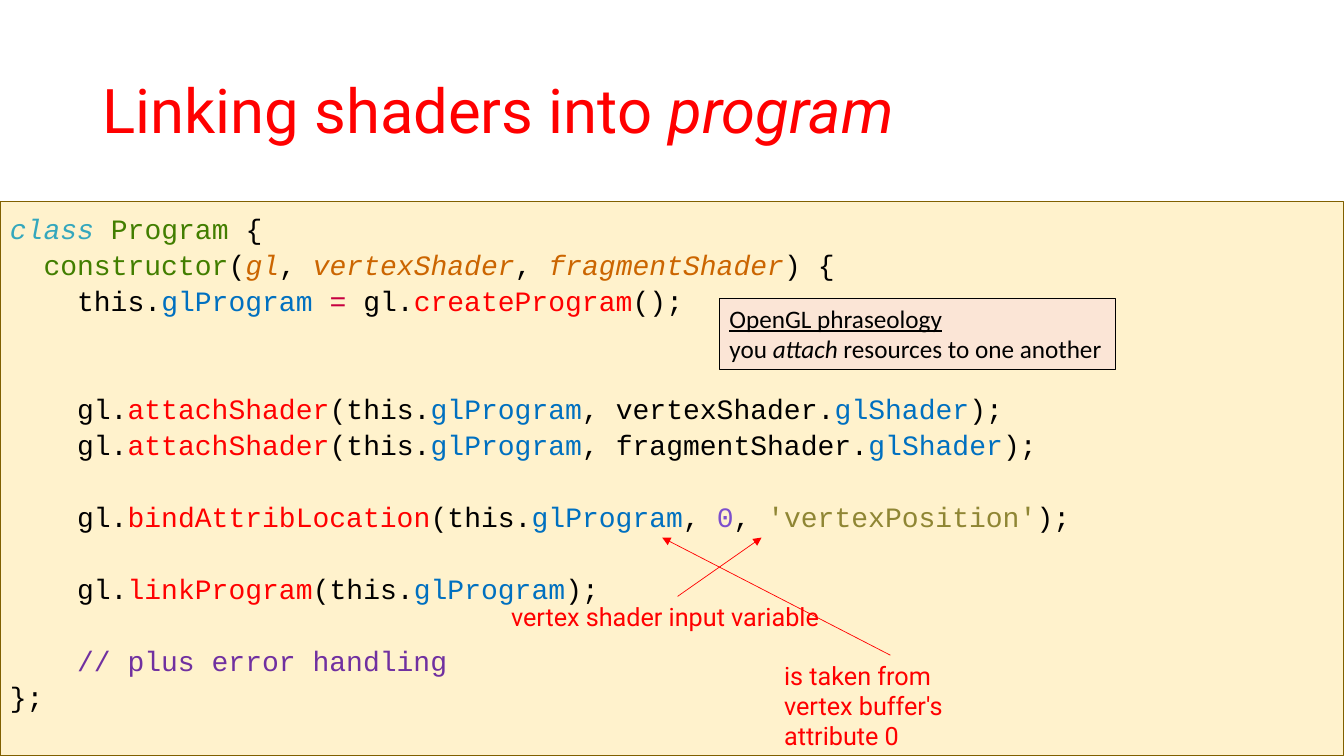
from collections import namedtuple

from lxml import etree
from pptx import Presentation
from pptx import util as u
from pptx.dml.color import RGBColor
from pptx.enum import shapes, text
from pptx.oxml.ns import qn

Pt = u.Pt
Box = namedtuple("Box", "x y w h")
Run = namedtuple("Run", "text color italic underline", defaults=(False, False))
Line = namedtuple("Line", "level blanks_before runs")

BLACK = RGBColor(0x00, 0x00, 0x00)
RED = RGBColor(0xFF, 0x00, 0x00)
CREAM = RGBColor(0xFF, 0xF2, 0xCC)
OLIVE = RGBColor(0x80, 0x60, 0x00)
PEACH = RGBColor(0xFB, 0xE5, 0xD6)
KEYWORD = RGBColor(0x34, 0xA7, 0xBD)
NAME = RGBColor(0x42, 0x7E, 0x00)
PARAM = RGBColor(0xCB, 0x65, 0x00)
MEMBER = RGBColor(0x00, 0x70, 0xC0)
OPERATOR = RGBColor(0xC7, 0x00, 0x40)
NUMBER = RGBColor(0x7C, 0x4F, 0xCD)
STRING = RGBColor(0x8F, 0x86, 0x34)
COMMENT = RGBColor(0x70, 0x30, 0xA0)

CODE_SIZE = 20
CODE_PITCH = 25.7
CODE_INDENT = 24  # two Courier New characters


def gl_call(method, *rest, blanks=0):
    """Return the code line gl.method(this.glProgram, ...)."""
    return Line(2, blanks, [Run("gl.", BLACK), Run(method, RED), Run("(this.", BLACK),
                            Run("glProgram", MEMBER), *rest, Run(");", BLACK)])


def attach_call(shader, blanks=0):
    """Return the code line that attaches one shader."""
    return gl_call("attachShader", Run(f", {shader}.", BLACK),
                   Run("glShader", MEMBER), blanks=blanks)


CODE = [
    Line(0, 0, [Run("class ", KEYWORD, True), Run("Program ", NAME), Run("{", BLACK)]),
    Line(1, 0, [Run("constructor", NAME), Run("(", BLACK), Run("gl", PARAM, True),
                Run(", ", BLACK), Run("vertexShader", PARAM, True), Run(", ", BLACK),
                Run("fragmentShader", PARAM, True), Run(") {", BLACK)]),
    Line(2, 0, [Run("this.", BLACK), Run("glProgram ", MEMBER), Run("= ", OPERATOR),
                Run("gl.", BLACK), Run("createProgram", RED), Run("();", BLACK)]),
    attach_call("vertexShader", blanks=2),
    attach_call("fragmentShader"),
    gl_call("bindAttribLocation", Run(", ", BLACK), Run("0", NUMBER), Run(", ", BLACK),
            Run("'vertexPosition'", STRING), blanks=1),
    gl_call("linkProgram", blanks=1),
    Line(2, 1, [Run("// plus error handling", COMMENT)]),
    Line(0, 0, [Run("};", BLACK)]),
]


def add_runs(p, runs, font, size):
    """Add formatted runs to a left-aligned paragraph."""
    p.alignment = text.PP_ALIGN.LEFT
    for run in runs:
        r = p.add_run()
        r.text = run.text
        r.font.name, r.font.size = font, Pt(size)
        r.font.color.rgb = run.color
        r.font.italic, r.font.underline = run.italic, run.underline


def paragraphs(tf, count):
    """Yield the first paragraph and then new ones, count in all."""
    yield tf.paragraphs[0]
    for _ in range(count - 1):
        yield tf.add_paragraph()


def add_panel(s, box, fill, line):
    """Add a bordered rectangle with top-anchored text and return it."""
    sp = s.shapes.add_shape(shapes.MSO_SHAPE.RECTANGLE, *map(Pt, box))
    sp.shadow.inherit = False
    sp.fill.solid()
    sp.fill.fore_color.rgb = fill
    sp.line.color.rgb = line
    sp.line.width = Pt(0.75)
    sp.text_frame.vertical_anchor = text.MSO_ANCHOR.TOP
    return sp


def add_title(s, box):
    """Place and format the title placeholder."""
    sp = s.shapes.title
    sp.left, sp.top, sp.width, sp.height = map(Pt, box)
    tf = sp.text_frame
    tf.vertical_anchor = text.MSO_ANCHOR.MIDDLE
    p = tf.paragraphs[0]
    p.line_spacing = 0.9
    add_runs(p, [Run("Linking shaders into ", RED), Run("program", RED, True)], "Roboto", 44)


def add_code(s, box):
    """Add the code listing, indented and spaced by paragraph settings."""
    tf = add_panel(s, box, CREAM, OLIVE).text_frame
    tf.word_wrap = True
    tf.margin_top = Pt(5.6)
    for p, line in zip(paragraphs(tf, len(CODE)), CODE):
        p.line_spacing = Pt(CODE_PITCH)
        p.space_before = Pt(line.blanks_before * CODE_PITCH)
        pPr = p._p.get_or_add_pPr()
        pPr.set("marL", str(Pt(line.level * CODE_INDENT)))
        pPr.set("indent", "0")
        add_runs(p, line.runs, "Courier New", CODE_SIZE)


def add_phraseology(s, box):
    """Add the boxed note on OpenGL wording."""
    tf = add_panel(s, box, PEACH, BLACK).text_frame
    tf.word_wrap = False
    rows = [
        [Run("OpenGL phraseology", BLACK, underline=True)],
        [Run("you ", BLACK), Run("attach", BLACK, True), Run(" resources to one another", BLACK)],
    ]
    for p, runs in zip(paragraphs(tf, len(rows)), rows):
        add_runs(p, runs, "Calibri", 18)


def add_annotation(s, box, label, start_dx, tip):
    """Add a red label with an arrow from its top edge to the tip."""
    cxn = s.shapes.add_connector(shapes.MSO_CONNECTOR.STRAIGHT,
                                 Pt(box.x + start_dx), Pt(box.y), *map(Pt, tip))
    cxn.line.color.rgb = RED
    cxn.line.width = Pt(0.5)
    etree.SubElement(cxn.line._get_or_add_ln(), qn("a:tailEnd"), type="triangle")
    etree.SubElement(cxn._element.spPr, qn("a:effectLst"))
    tf = s.shapes.add_textbox(*map(Pt, box)).text_frame
    tf.word_wrap = True
    add_runs(tf.paragraphs[0], [Run(label, RED)], "Roboto", 18)


def build_linking_slide(prs):
    """Build the slide on linking shaders into a program."""
    s = prs.slides.add_slide(prs.slide_layouts[5])
    add_title(s, Box(66, 28.8, 828, 104.4))
    add_code(s, Box(0, 144, 960, 396))
    add_phraseology(s, Box(514, 213, 283, 51))
    tip_y = 384
    add_annotation(s, Box(358, 426, 252, 29), "vertex shader input variable", 126, (544, tip_y))
    add_annotation(s, Box(553, 468, 166, 51), "is taken from vertex buffer's attribute 0",
                   83, (473, tip_y))


prs = Presentation()
prs.slide_width, prs.slide_height = Pt(960), Pt(540)
build_linking_slide(prs)
prs.save("out.pptx")
